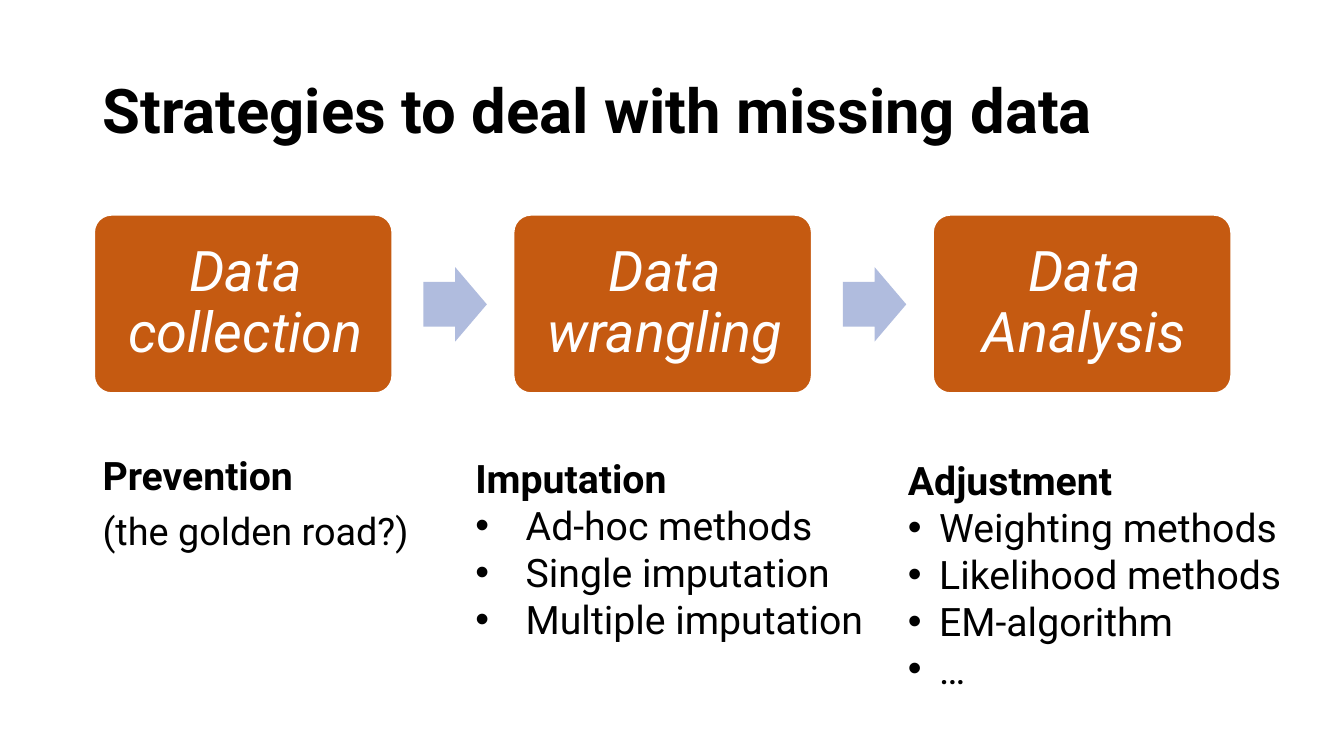
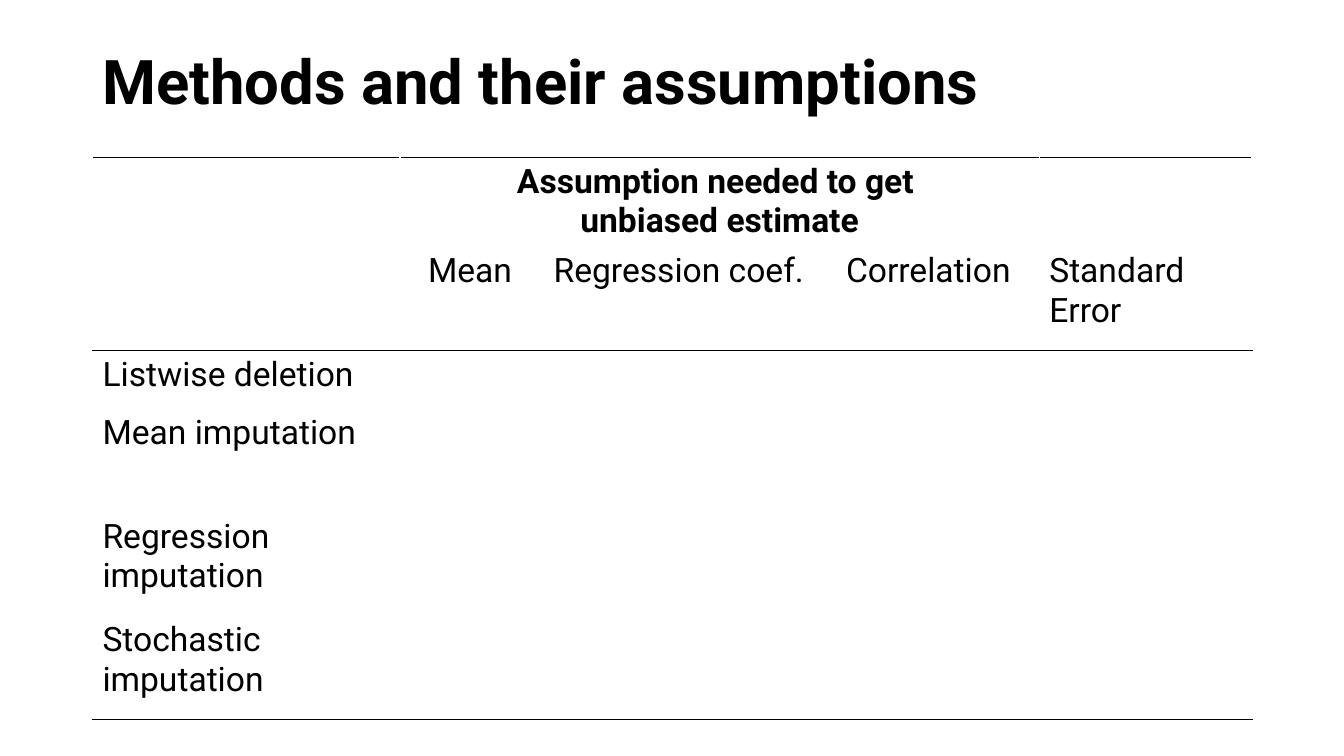
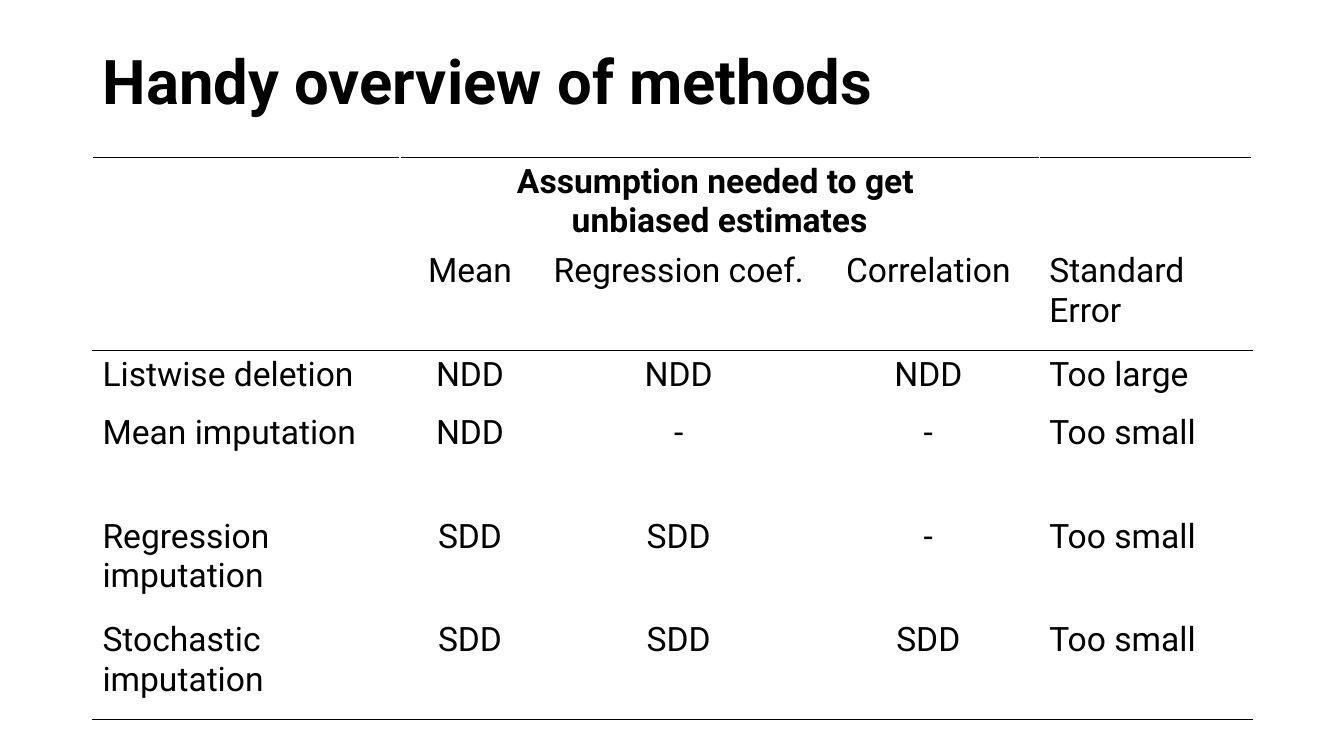
import pptx
import pptx.util
import pptx.dml.color
import pptx.enum.shapes
import pptx.enum.text
import pptx.oxml
import pptx.oxml.ns

Cm = pptx.util.Cm
Pt = pptx.util.Pt
RGBColor = pptx.dml.color.RGBColor
ALIGN = pptx.enum.text.PP_ALIGN
ANCHOR = pptx.enum.text.MSO_ANCHOR
AUTO_SIZE = pptx.enum.text.MSO_AUTO_SIZE
SHAPE = pptx.enum.shapes.MSO_SHAPE

BLACK = RGBColor(0x00, 0x00, 0x00)
WHITE = RGBColor(0xFF, 0xFF, 0xFF)
ORANGE = RGBColor(0xC5, 0x5A, 0x11)
LAVENDER = RGBColor(0xB0, 0xBC, 0xDE)

FONT = "Roboto"
TITLE = {"size": Pt(44), "bold": True}
STAGE = {"size": Pt(40), "italic": True}
HEADING = {"size": Pt(28), "bold": True}
ITEM = {"size": Pt(28), "bold": False}
REMARK = {"size": Pt(27), "bold": False}
HEADER = {"size": Pt(24), "bold": True}
CELL = {"size": Pt(24), "bold": False}

LEFT, WIDTH = Cm(2.33), Cm(29.21)

STAGES = ["Data collection", "Data wrangling", "Data Analysis"]
PREVENTION = [("Prevention", HEADING, 0), ("(the golden road?)", REMARK, 10)]
REMEDIES = [
    ("Imputation", ["Ad-hoc methods", "Single imputation", "Multiple imputation"],
     (11.73, 11.33, 10.6, 5.03), 1.27),
    ("Adjustment", ["Weighting methods", "Likelihood methods", "EM-algorithm", "…"],
     (22.63, 11.38, 10.97, 6.25), 0.79),
]

ESTIMATES = ["Mean", "Regression coef.", "Correlation", "Standard Error"]
METHODS = ["Listwise deletion", "Mean imputation",
           "Regression imputation", "Stochastic imputation"]
ANSWERS = [
    ["NDD", "NDD", "NDD", "Too large"],
    ["NDD", "-", "-", "Too small"],
    ["SDD", "SDD", "-", "Too small"],
    ["SDD", "SDD", "SDD", "Too small"],
]
BLANKS = [[""] * len(ESTIMATES)] * len(METHODS)
TABLE_SLIDES = [
    ("Methods and their assumptions", "unbiased estimate", BLANKS),
    ("Handy overview of methods", "unbiased estimates", ANSWERS),
]
COLUMN_WIDTHS = [7.75, 3.53, 6.99, 5.59, 5.36]
ROW_HEIGHTS = [2.24, 2.62, 1.45, 2.62, 2.62, 2.62]
RULED_EDGES = {0, 2, len(ROW_HEIGHTS)}


def write(paragraph, text, look, color=BLACK):
    run = paragraph.add_run()
    run.text = text
    for key, value in {"name": FONT, **look}.items():
        setattr(run.font, key, value)
    run.font.color.rgb = color


def next_paragraph(frame, index):
    return frame.paragraphs[0] if index == 0 else frame.add_paragraph()


def add_slide(layout, heading, top):
    slide = deck.slides.add_slide(deck.slide_layouts[layout])
    title = slide.shapes.title
    place = {"left": LEFT, "top": top, "width": WIDTH, "height": Cm(3.68)}
    for key, value in place.items():
        setattr(title, key, value)
    title.text_frame.vertical_anchor = ANCHOR.MIDDLE
    title.text_frame.auto_size = AUTO_SIZE.NONE
    paragraph = title.text_frame.paragraphs[0]
    paragraph.alignment = ALIGN.LEFT
    paragraph.line_spacing = 0.9
    write(paragraph, heading, TITLE)
    return slide


def set_bullet(paragraph, indent):
    properties = paragraph._p.get_or_add_pPr()
    properties.set("marL", str(Cm(indent)))
    properties.set("indent", str(-Cm(indent)))
    namespace = pptx.oxml.ns.nsdecls("a")
    marks = [f'<a:buFont {namespace} typeface="Arial"/>',
             f'<a:buChar {namespace} char="•"/>'] if indent else [f"<a:buNone {namespace}/>"]
    for mark in marks:
        properties.append(pptx.oxml.parse_xml(mark))


def add_block(slide, shape, left, top, width, height, color):
    block = slide.shapes.add_shape(shape, Cm(left), Cm(top), Cm(width), Cm(height))
    block.shadow.inherit = False
    block.fill.solid()
    block.fill.fore_color.rgb = color
    return block


def add_stages(slide):
    left, pitch = 2.36, 10.57
    for index, name in enumerate(STAGES):
        start = left + index * pitch
        stage = add_block(slide, SHAPE.ROUNDED_RECTANGLE, start, 5.4, 7.54, 4.52, ORANGE)
        stage.adjustments[0] = 0.1
        stage.line.color.rgb = WHITE
        stage.line.width = Pt(2)
        frame = stage.text_frame
        layout = {"margin_left": Cm(0.58), "margin_right": Cm(0.46), "margin_top": Cm(0.58),
                  "margin_bottom": Cm(0.58), "word_wrap": True, "vertical_anchor": ANCHOR.MIDDLE}
        for key, value in layout.items():
            setattr(frame, key, value)
        frame.paragraphs[0].alignment = ALIGN.CENTER
        frame.paragraphs[0].line_spacing = 0.9
        write(frame.paragraphs[0], name, STAGE, WHITE)
        if index < len(STAGES) - 1:
            arrow = add_block(slide, SHAPE.RIGHT_ARROW, start + 8.31, 6.73, 1.6, 1.88, LAVENDER)
            arrow.adjustments[0] = 0.6
            arrow.line.fill.background()


def add_prevention(slide):
    body = slide.placeholders[1]
    place = {"left": LEFT, "top": Cm(11.38), "width": Cm(8.46), "height": Cm(5.11)}
    for key, value in place.items():
        setattr(body, key, value)
    body.text_frame.auto_size = AUTO_SIZE.NONE
    for index, (text, look, space) in enumerate(PREVENTION):
        paragraph = next_paragraph(body.text_frame, index)
        paragraph.line_spacing = 0.9
        paragraph.space_before = Pt(space)
        set_bullet(paragraph, 0)
        write(paragraph, text, look)


def add_remedy(slide, heading, items, box, indent):
    frame = slide.shapes.add_textbox(*map(Cm, box)).text_frame
    frame.word_wrap = True
    frame.auto_size = AUTO_SIZE.SHAPE_TO_FIT_TEXT
    write(frame.paragraphs[0], heading, HEADING)
    for item in items:
        paragraph = frame.add_paragraph()
        set_bullet(paragraph, indent)
        write(paragraph, item, ITEM)


def set_borders(cell, row):
    above = BLACK if row in RULED_EDGES else WHITE
    below = BLACK if row + 1 in RULED_EDGES else WHITE
    sides = {"lnL": WHITE, "lnR": WHITE, "lnT": above, "lnB": below}
    for side, color in sides.items():
        cell._tc.get_or_add_tcPr().append(pptx.oxml.parse_xml(
            f'<a:{side} {pptx.oxml.ns.nsdecls("a")} w="{Pt(0.96)}">'
            f'<a:solidFill><a:srgbClr val="{color}"/></a:solidFill></a:{side}>'))
    cell.fill.background()


def add_methods_table(slide, estimate, answers):
    rows = [["", ["Assumption needed to get ", estimate], "", "", ""], ["", *ESTIMATES]]
    rows += [[method, *answer] for method, answer in zip(METHODS, answers)]
    table = slide.shapes.add_table(len(rows), len(COLUMN_WIDTHS), LEFT, Cm(3.96),
                                   WIDTH, Cm(sum(ROW_HEIGHTS))).table
    table.first_row = table.horz_banding = False
    for column, width in zip(table.columns, COLUMN_WIDTHS):
        column.width = Cm(width)
    for row, height in zip(table.rows, ROW_HEIGHTS):
        row.height = Cm(height)
    table.cell(0, 1).merge(table.cell(0, 3))
    for r, row in enumerate(rows):
        for c, content in enumerate(row):
            cell = table.cell(r, c)
            set_borders(cell, r)
            lines = content if isinstance(content, list) else [content]
            for index, line in enumerate(filter(None, lines)):
                paragraph = next_paragraph(cell.text_frame, index)
                paragraph.alignment = ALIGN.CENTER if 1 <= c <= 3 else ALIGN.LEFT
                write(paragraph, line, HEADER if r == 0 else CELL)


deck = pptx.Presentation()
deck.slide_width, deck.slide_height = Cm(33.87), Cm(19.05)

strategies = add_slide(1, "Strategies to deal with missing data", Cm(1.01))
add_prevention(strategies)
add_stages(strategies)
for remedy in REMEDIES:
    add_remedy(strategies, *remedy)

for heading, estimate, answers in TABLE_SLIDES:
    add_methods_table(add_slide(5, heading, Cm(0.28)), estimate, answers)

deck.save("out.pptx")
